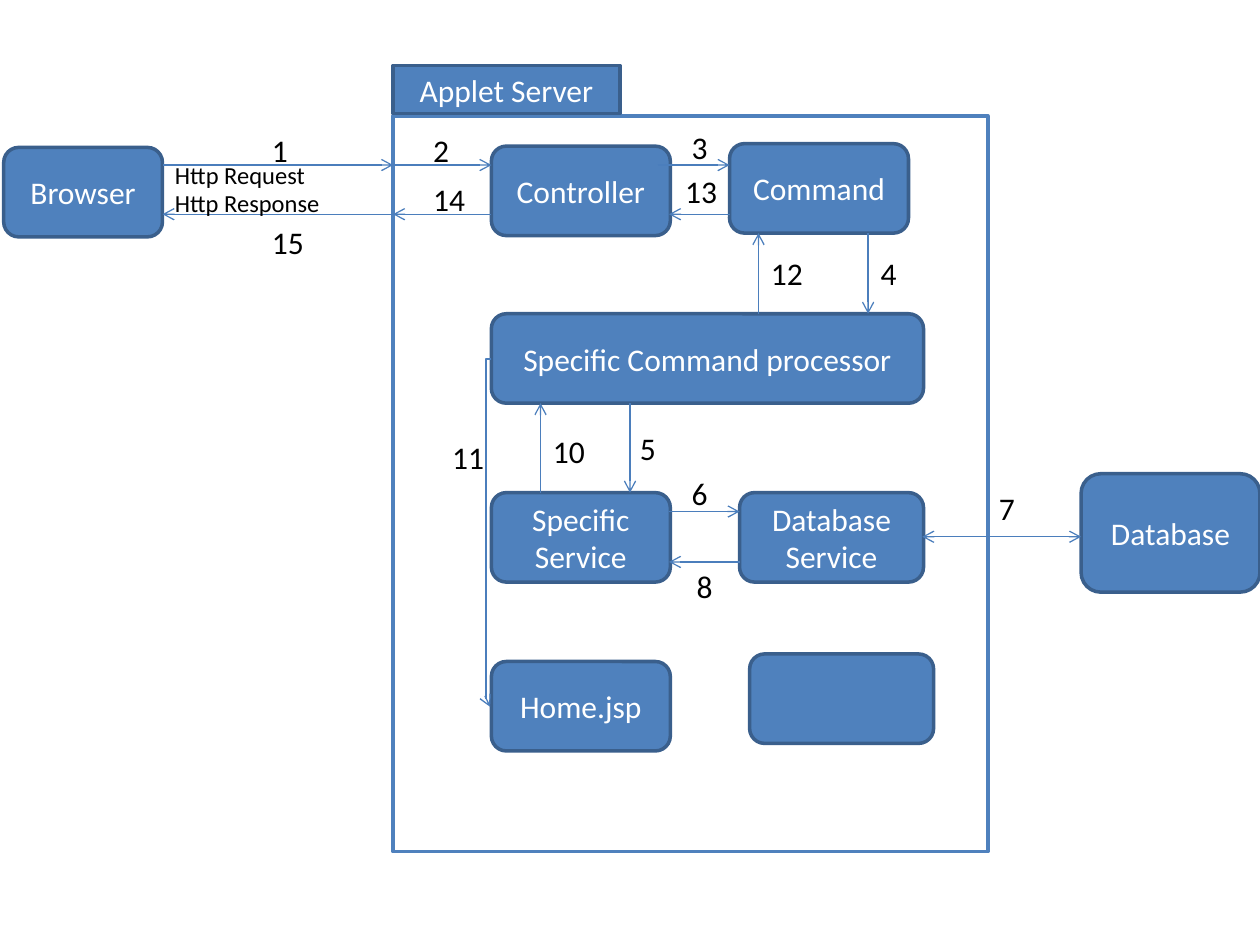
"""Build a slide that shows how a web request travels through an application server."""
from dataclasses import dataclass
from typing import Any

from lxml import etree
from pptx import Presentation
from pptx.dml.color import RGBColor
from pptx.enum.shapes import MSO_CONNECTOR, MSO_SHAPE
from pptx.enum.text import MSO_ANCHOR, MSO_AUTO_SIZE, PP_ALIGN
from pptx.oxml.ns import qn
from pptx.util import Inches, Pt

RECTANGLE, ROUNDED = MSO_SHAPE.RECTANGLE, MSO_SHAPE.ROUNDED_RECTANGLE
STRAIGHT, ELBOW = MSO_CONNECTOR.STRAIGHT, MSO_CONNECTOR.ELBOW
MIDDLE, TOP = MSO_ANCHOR.MIDDLE, MSO_ANCHOR.TOP
CENTER, LEFT = PP_ALIGN.CENTER, PP_ALIGN.LEFT
GROW = MSO_AUTO_SIZE.SHAPE_TO_FIT_TEXT

COLUMNS, ROWS = 100, 75
CELL = Inches(0.1)


@dataclass(frozen=True)
class Theme:
    """Hold the colours, font and sizes of the slide."""
    font: str = "Calibri"
    box: str = "4F81BD"
    edge: str = "3A5F8C"
    arrow: str = "4B7EBC"
    paper: str = "FFFFFF"
    ink: str = "000000"
    body: float = 18
    note: float = 14
    border: float = 2
    stroke: float = 0.75


THEME = Theme()


@dataclass(frozen=True)
class Box:
    """Describe a filled box in grid columns and rows."""
    text: str
    column: float
    row: float
    width: float = 14.2
    height: float = 7.1
    shape: Any = ROUNDED
    fill: str = THEME.box
    edge: str = THEME.edge


@dataclass(frozen=True)
class Label:
    """Describe a caption by its top left corner."""
    text: str
    column: float
    row: float
    width: float = 0
    height: float = 4
    size: float = THEME.body


@dataclass(frozen=True)
class Arrow:
    """Describe an arrow, with a bend as a multiple of its width."""
    start: tuple[float, float]
    end: tuple[float, float]
    ends: tuple[str, ...] = ("tailEnd",)
    bend: float = 0


SERVER_X, CONTROLLER_X, BROWSER_EDGE = 31.2, 39, 12.9
CONTROLLER_EDGE, COMMAND_X, SERVICE_X, DATABASE_X = 53.1, 57.9, 58.7, 85.8
REQUEST_Y, RESPONSE_Y = 13.1, 17
COMMAND_BASE, PROCESSOR_Y, PROCESSOR_BASE, SERVICE_Y = 18.5, 24.9, 32, 39.1

BOXES = [
    Box("", SERVER_X, 9.2, 47.2, 58.4, RECTANGLE, THEME.paper, THEME.box),
    Box("Applet Server", SERVER_X, 5.2, 18, 3.8, RECTANGLE),
    Box("Browser", 0.3, 11.7, 12.6),
    Box("Database", DATABASE_X, 37.6, height=9.4),
    Box("Controller", CONTROLLER_X, 11.6),
    Box("Command", COMMAND_X, 11.4),
    Box("Specific Command processor", CONTROLLER_X, PROCESSOR_Y, 34.3),
    Box("Specific Service", CONTROLLER_X, SERVICE_Y),
    Box("Database\nService", SERVICE_X, SERVICE_Y, 14.6),
    Box("Home.jsp", CONTROLLER_X, 52.5),
    Box("", 59.5, 51.9, 14.6),
]

ARROWS = [
    Arrow((BROWSER_EDGE, REQUEST_Y), (SERVER_X, REQUEST_Y)),
    Arrow((SERVER_X, RESPONSE_Y), (BROWSER_EDGE, RESPONSE_Y)),
    Arrow((SERVER_X, REQUEST_Y), (CONTROLLER_X, REQUEST_Y)),
    Arrow((CONTROLLER_X, RESPONSE_Y), (SERVER_X, RESPONSE_Y)),
    Arrow((52.2, REQUEST_Y), (COMMAND_X, REQUEST_Y)),
    Arrow((COMMAND_X, RESPONSE_Y), (CONTROLLER_EDGE, RESPONSE_Y)),
    Arrow((68.9, COMMAND_BASE), (68.9, PROCESSOR_Y)),
    Arrow((60.2, PROCESSOR_Y), (60.2, COMMAND_BASE)),
    Arrow((50, PROCESSOR_BASE), (50, SERVICE_Y)),
    Arrow((42.9, SERVICE_Y), (42.9, PROCESSOR_BASE)),
    Arrow((CONTROLLER_EDGE, 40.6), (SERVICE_X, 40.6)),
    Arrow((SERVICE_X, 44.6), (CONTROLLER_EDGE, 44.6)),
    Arrow((73.2, 42.6), (DATABASE_X, 42.6), ("headEnd", "tailEnd")),
    Arrow((CONTROLLER_X, 28.5), (38.9, 56.1), bend=42),
]

LABELS = [
    Label("Http Request", BROWSER_EDGE, 12.2, 12.5, 3.4, THEME.note),
    Label("Http Response", BROWSER_EDGE, 14.4, 13.7, 3.4, THEME.note),
    Label("1", 20.6, 9.9), Label("2", 33.4, 9.9), Label("3", 53.9, 9.7),
    Label("4", 68.9, 19.7), Label("5", 49.8, 33.6), Label("6", 53.9, 37.1),
    Label("7", 78.3, 38.3), Label("8", 54.3, 44.5), Label("10", 42.9, 33.8),
    Label("11", 34.9, 34.3), Label("12", 60.2, 19.7), Label("13", 53.4, 13.2),
    Label("14", 33.4, 13.8), Label("15", 20.6, 17.2),
]


def grid(*cells: float) -> list[int]:
    """Turn grid counts into slide lengths."""
    return [round(cell * CELL) for cell in cells]


def apply(target: Any, values: dict[str, Any]) -> None:
    """Set each named attribute on the target."""
    for name, value in values.items():
        setattr(target, name, value)


def write(shape: Any, text: str, size: float, color: str, align: Any, frame: dict[str, Any]) -> None:
    """Write text into a shape, one paragraph for each line."""
    apply(shape.text_frame, frame)
    shape.text_frame.text = text
    for para in shape.text_frame.paragraphs:
        para.alignment = align
        for span in para.runs:
            apply(span.font, {"name": THEME.font, "size": Pt(size)})
            span.font.color.rgb = RGBColor.from_string(color)


def draw_box(page: Any, box: Box) -> None:
    """Draw a box with centred text."""
    shape = page.shapes.add_shape(box.shape, *grid(box.column, box.row, box.width, box.height))
    shape.shadow.inherit = False
    shape.fill.solid()
    shape.fill.fore_color.rgb = RGBColor.from_string(box.fill)
    shape.line.color.rgb = RGBColor.from_string(box.edge)
    shape.line.width = Pt(THEME.border)
    if box.text:
        write(shape, box.text, THEME.body, THEME.paper, CENTER,
              {"vertical_anchor": MIDDLE, "word_wrap": True})


def draw_arrow(page: Any, arrow: Arrow) -> None:
    """Draw a straight or bent arrow with open heads."""
    kind = ELBOW if arrow.bend else STRAIGHT
    line = page.shapes.add_connector(kind, *grid(*arrow.start, *arrow.end))
    line.line.color.rgb = RGBColor.from_string(THEME.arrow)
    line.line.width = Pt(THEME.stroke)
    properties = line.element.spPr
    for end in arrow.ends:
        etree.SubElement(properties.find(qn("a:ln")), qn(f"a:{end}"), type="arrow")
    etree.SubElement(properties, qn("a:effectLst"))
    if arrow.bend:
        guides = properties.find(qn("a:prstGeom")).find(qn("a:avLst"))
        etree.SubElement(guides, qn("a:gd"), name="adj1", fmla=f"val {round(arrow.bend * 10000 * 10 / 10) * 1}")


def draw_label(page: Any, label: Label) -> None:
    """Draw a caption, as wide as its digits unless a width is given."""
    width = label.width or 2 + 1.3 * len(label.text)
    shape = page.shapes.add_textbox(*grid(label.column, label.row, width, label.height))
    write(shape, label.text, label.size, THEME.ink, LEFT,
          {"vertical_anchor": TOP, "word_wrap": False, "auto_size": GROW})


def build() -> None:
    """Draw all parts and save the deck."""
    deck = Presentation()
    apply(deck, {"slide_width": COLUMNS * CELL, "slide_height": ROWS * CELL})
    page = deck.slides.add_slide(deck.slide_layouts[6])
    for draw, parts in ((draw_box, BOXES), (draw_arrow, ARROWS), (draw_label, LABELS)):
        for part in parts:
            draw(page, part)
    deck.save("out.pptx")


build()
